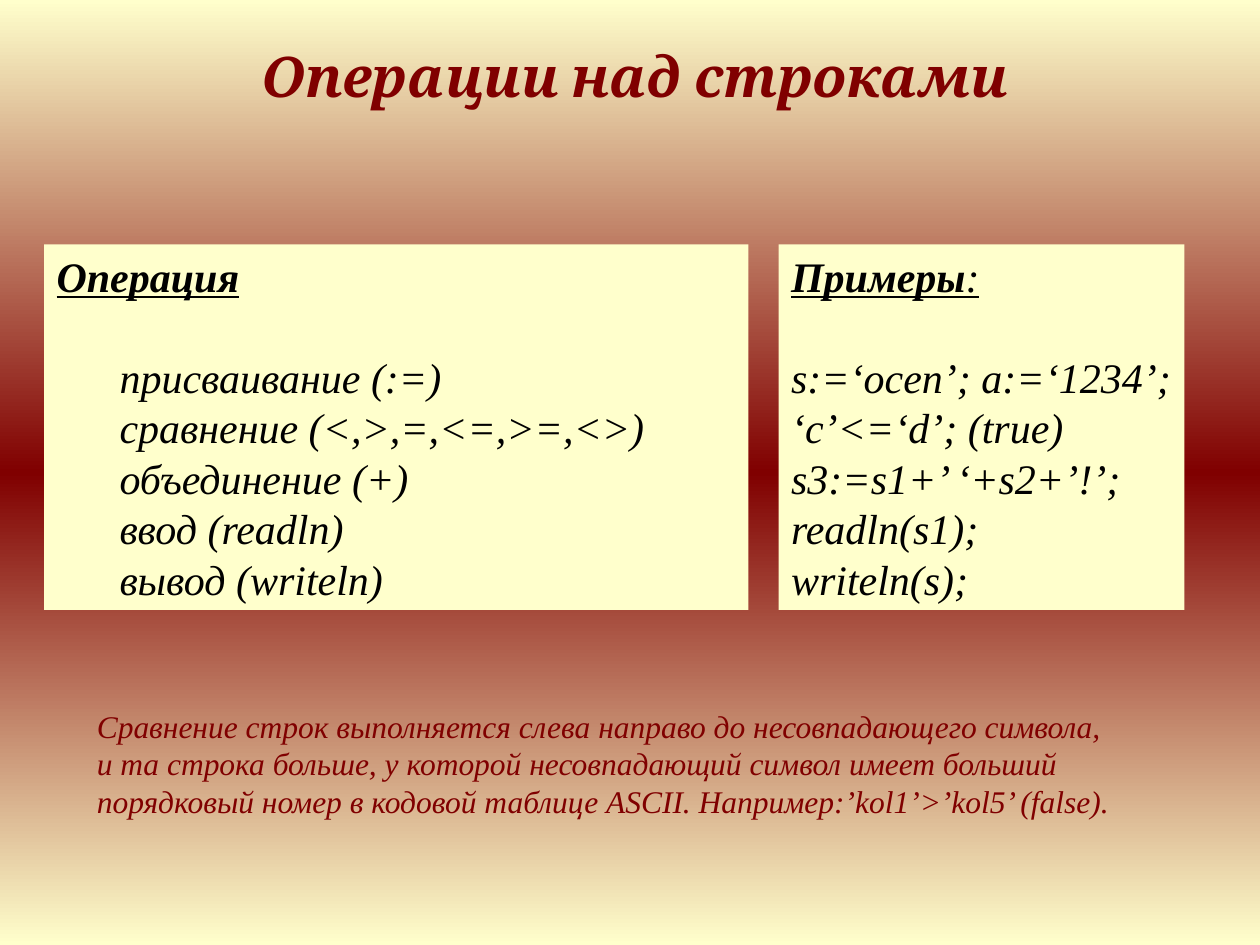
"""Build a slide about string operations in Pascal."""
import copy

import pptx
import pptx.dml.color
import pptx.enum.shapes
import pptx.enum.text
import pptx.util

Inches = pptx.util.Inches
Pt = pptx.util.Pt
MAROON, CREAM, BLACK = "800000", "FFFFCC", "000000"


def color(value):
    return pptx.dml.color.RGBColor.from_string(value)


def add_text(paragraph, text, size=24, font="Times New Roman", fill=BLACK,
             bold=False, underline=False, align=pptx.enum.text.PP_ALIGN.LEFT,
             leading=1.2):
    paragraph.alignment = align
    if leading:
        paragraph.line_spacing = Pt(size * leading)
    run = paragraph.add_run()
    run.text = text
    run.font.size = Pt(size)
    run.font.name = font
    run.font.bold = bold
    run.font.italic = True
    run.font.underline = underline
    run.font.color.rgb = color(fill)


presentation = pptx.Presentation()
presentation.slide_width = Inches(10)
presentation.slide_height = Inches(7.5)
slide = presentation.slides.add_slide(presentation.slide_layouts[6])

background = slide.background.fill
background.gradient()
background.gradient_angle = 90
stop_list = slide.element.xpath(".//a:gsLst")[0]
stop_list.append(copy.deepcopy(stop_list[-1]))
for stop, position, value in zip(background.gradient_stops, (0, 0.5, 1), (CREAM, MAROON, CREAM)):
    stop.position = position
    stop.color.rgb = color(value)

panels = [
    (0.35, 5.59, "Операция", "", [
        "\tприсваивание (:=)",
        "\tсравнение (<,>,=,<=,>=,<>)",
        "\tобъединение (+)",
        "\tввод (readln)",
        "\tвывод (writeln)",
    ]),
    (6.18, 3.22, "Примеры", ":", [
        "s:=‘ocen’; a:=‘1234’;",
        "‘c’<=‘d’; (true)",
        "s3:=s1+’ ‘+s2+’!’;",
        "readln(s1);",
        "writeln(s);",
    ]),
]
for left, width, heading, suffix, lines in panels:
    shape = slide.shapes.add_shape(
        pptx.enum.shapes.MSO_SHAPE.RECTANGLE,
        Inches(left), Inches(1.94), Inches(width), Inches(2.9))
    shape.shadow.inherit = False
    shape.fill.solid()
    shape.fill.fore_color.rgb = color(CREAM)
    shape.line.fill.background()
    frame = shape.text_frame
    frame.word_wrap = True
    frame.vertical_anchor = pptx.enum.text.MSO_ANCHOR.TOP
    paragraph = frame.paragraphs[0]
    paragraph.space_after = Pt(28.8)
    add_text(paragraph, heading, bold=True, underline=True)
    if suffix:
        add_text(paragraph, suffix, underline=True)
    for line in lines:
        add_text(frame.add_paragraph(), line)

texts = [
    (5.56, 8.27, 1.3,
     "Сравнение строк выполняется слева направо до несовпадающего символа, "
     "и та строка больше, у которой несовпадающий символ имеет больший "
     "порядковый номер в кодовой таблице ASCII. Например:’kol1’>’kol5’ (false).",
     {"size": 18}),
    (0.28, 8.74, 0.64, "Операции над строками",
     {"size": 32, "font": "Cambria", "bold": True, "leading": None,
      "align": pptx.enum.text.PP_ALIGN.CENTER}),
]
for top, width, height, text, style in texts:
    box = slide.shapes.add_textbox(Inches(0.67), Inches(top), Inches(width), Inches(height))
    box.text_frame.word_wrap = True
    add_text(box.text_frame.paragraphs[0], text, fill=MAROON, **style)

presentation.save("out.pptx")
